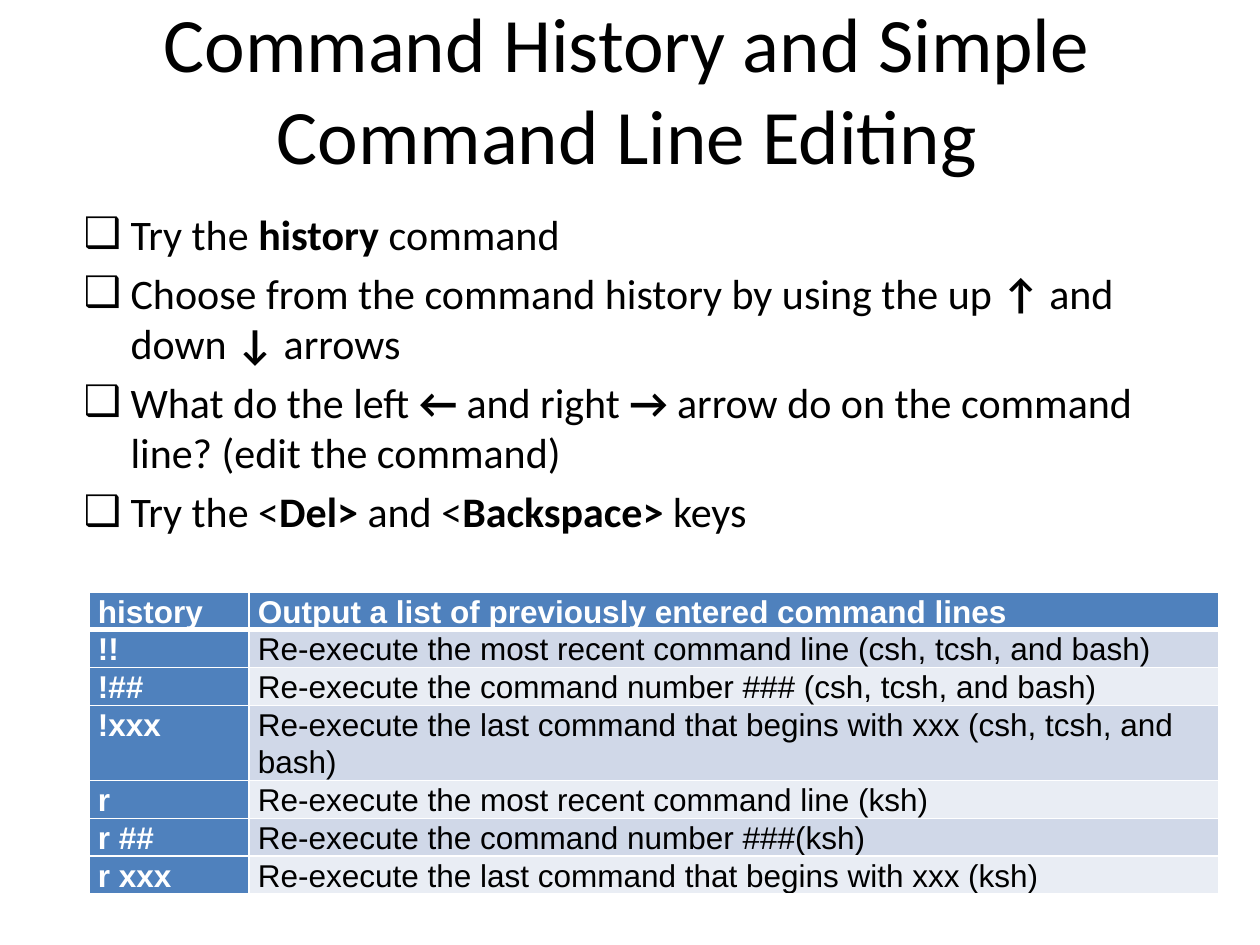
from lxml.etree import SubElement
from pptx import Presentation
from pptx.dml.color import RGBColor
from pptx.enum.text import MSO_ANCHOR, MSO_AUTO_SIZE, PP_ALIGN
from pptx.oxml.ns import qn
from pptx.util import Pt

SCALE = 914400 / 126
BLACK = RGBColor(0x00, 0x00, 0x00)
WHITE = RGBColor(0xFF, 0xFF, 0xFF)
BLUE = RGBColor(0x4F, 0x81, 0xBD)
BANDS = [RGBColor(0xE9, 0xED, 0xF4), RGBColor(0xD0, 0xD8, 0xE8)]

TITLE_FONT = {"name": "Calibri", "size": Pt(44)}
BODY_FONT = {"name": "Calibri", "size": Pt(24)}
CELL_FONT = {"name": "Arial", "size": Pt(18)}
CELL_FORMAT = {"margin_left": 9, "margin_right": 9, "margin_top": 0, "margin_bottom": 0}

TITLE = "Command History and Simple Command Line Editing"
BULLETS = [
    ["Try the ", "history", " command"],
    ["Choose from the command history by using the up ", "↑", " and down ", "↓", " arrows"],
    ["What do the left ", "←", " and right ", "→",
     " arrow do on the command line? (edit the command)"],
    ["Try the <", "Del>", " and <", "Backspace> ", "keys"],
]
COMMANDS = [
    ("history", "Output a list of previously entered command lines"),
    ("!!", "Re-execute the most recent command line (csh, tcsh, and bash)"),
    ("!##", "Re-execute the command number ### (csh, tcsh, and bash)"),
    ("!xxx", "Re-execute the last command that begins with xxx (csh, tcsh, and bash)"),
    ("r", "Re-execute the most recent command line (ksh)"),
    ("r ##", "Re-execute the command number ###(ksh)"),
    ("r xxx", "Re-execute the last command that begins with xxx (ksh)"),
]


def px(n):
    """Turn px into EMU."""
    return round(n * SCALE)


def set_attrs(obj, values):
    """Set each attribute named in a dict."""
    for name, value in values.items():
        setattr(obj, name, value)


def place(sp, box):
    """Move a shape to a px box and fix its text size."""
    set_attrs(sp, dict(zip(("left", "top", "width", "height"), map(px, box))))
    sp.text_frame.auto_size = MSO_AUTO_SIZE.NONE
    sp.text_frame.word_wrap = True


def add_run(p, text, font, color, bold=False):
    """Append a formatted run to a paragraph."""
    r = p.add_run()
    r.text = text
    set_attrs(r.font, {**font, "bold": bold})
    r.font.color.rgb = color


def add_title(s, box):
    """Fill the title placeholder."""
    sp = s.shapes.title
    place(sp, box)
    tf = sp.text_frame
    tf.vertical_anchor = MSO_ANCHOR.MIDDLE
    p = tf.paragraphs[0]
    p.alignment = PP_ALIGN.CENTER
    add_run(p, TITLE, TITLE_FONT, BLACK)


def add_bullets(s, box):
    """Fill the body placeholder, with every second run in bold."""
    sp = s.placeholders[1]
    place(sp, box)
    tf = sp.text_frame
    for i, parts in enumerate(BULLETS):
        p = tf.add_paragraph() if i else tf.paragraphs[0]
        pPr = p._p.get_or_add_pPr()
        pPr.set("marL", str(px(47)))
        pPr.set("indent", str(px(-47)))
        SubElement(pPr, qn("a:buChar")).set("char", "❑")
        for j, text in enumerate(parts):
            add_run(p, text, BODY_FONT, BLACK, j % 2 == 1)


def add_borders(cell, widths):
    """Draw white cell borders, given in points by side."""
    tcPr = cell._tc.get_or_add_tcPr()
    for side, width in widths.items():
        ln = SubElement(tcPr, qn(f"a:ln{side}"), w=str(Pt(width)))
        fill = SubElement(ln, qn("a:solidFill"))
        SubElement(fill, qn("a:srgbClr"), val=str(WHITE))


def add_commands(s, box, first_col, row_height):
    """Add the table of history commands."""
    x, y, w, h = map(px, box)
    table = s.shapes.add_table(len(COMMANDS), 2, x, y, w, h).table
    table.columns[0].width = px(first_col)
    table.columns[1].width = w - px(first_col)
    for i, texts in enumerate(COMMANDS):
        table.rows[i].height = px(row_height)
        for j, text in enumerate(texts):
            cell = table.cell(i, j)
            head = i == 0 or j == 0
            set_attrs(cell, {k: px(v) for k, v in CELL_FORMAT.items()})
            add_borders(cell, {"L": 1, "R": 1, "T": 3 if i == 1 else 1, "B": 1 if i else 3})
            cell.fill.solid()
            cell.fill.fore_color.rgb = BLUE if head else BANDS[i % 2]
            p = cell.text_frame.paragraphs[0]
            p.line_spacing = 1.07
            add_run(p, text, CELL_FONT, WHITE if head else BLACK, head)


def main():
    """Build and save the slide."""
    prs = Presentation()
    prs.slide_width, prs.slide_height = px(1260), px(945)
    s = prs.slides.add_slide(prs.slide_layouts[1])
    add_title(s, (60, 0, 1134, 176))
    add_bullets(s, (71, 202, 1134, 353))
    add_commands(s, (89, 592, 1130, 259), 160, 37)
    prs.save("out.pptx")


if __name__ == "__main__":
    main()
